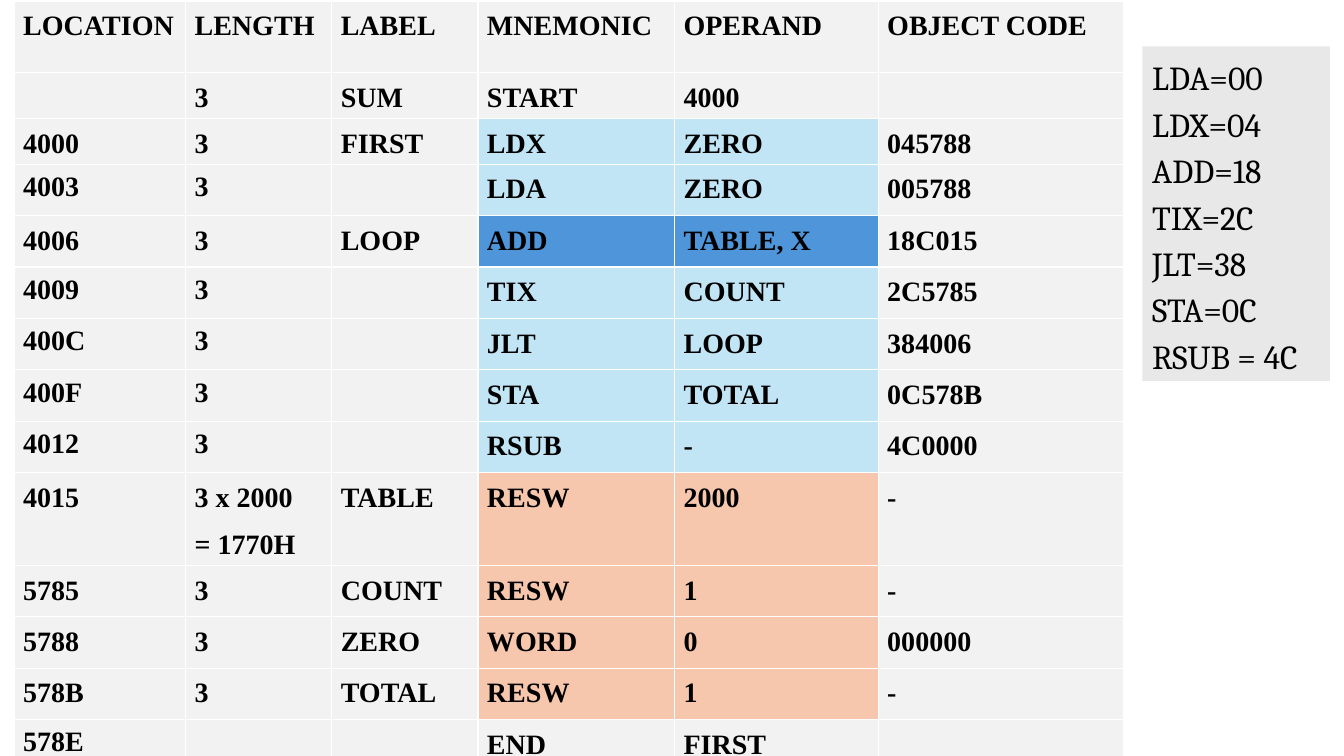
from dataclasses import dataclass

from pptx import Presentation
from pptx.dml.color import RGBColor
from pptx.enum.shapes import MSO_SHAPE
from pptx.enum.text import MSO_ANCHOR, PP_ALIGN
from pptx.util import Inches, Pt

RECTANGLE = MSO_SHAPE.RECTANGLE
LEFT = PP_ALIGN.LEFT
TOP = MSO_ANCHOR.TOP

LISTING = [
    ("LOCATION", "LENGTH", "LABEL", "MNEMONIC", "OPERAND", "OBJECT CODE"),
    ("", "3", "SUM", "START", "4000", ""),
    ("4000", "3", "FIRST", "LDX", "ZERO", "045788"),
    ("4003", "3", "", "LDA", "ZERO", "005788"),
    ("4006", "3", "LOOP", "ADD", "TABLE, X", "18C015"),
    ("4009", "3", "", "TIX", "COUNT", "2C5785"),
    ("400C", "3", "", "JLT", "LOOP", "384006"),
    ("400F", "3", "", "STA", "TOTAL", "0C578B"),
    ("4012", "3", "", "RSUB", "-", "4C0000"),
    ("4015", "3 x 2000\n= 1770H", "TABLE", "RESW", "2000", "-"),
    ("5785", "3", "COUNT", "RESW", "1", "-"),
    ("5788", "3", "ZERO", "WORD", "0", "000000"),
    ("578B", "3", "TOTAL", "RESW", "1", "-"),
    ("578E", "", "", "END", "FIRST", ""),
]
OPCODES = ["LDA=00", "LDX=04", "ADD=18", "TIX=2C", "JLT=38", "STA=0C", "RSUB = 4C"]

COLUMN_WIDTHS = [1.7, 1.45, 1.45, 1.95, 2.02, 2.43]
HEADER_HEIGHT, SHORT_ROW, TALL_ROW, TWO_LINE_ROW = 0.71, 0.42, 0.51, 0.91
ROW_HEIGHTS = ([HEADER_HEIGHT] + [SHORT_ROW] * 2 + [TALL_ROW] * 6
               + [TWO_LINE_ROW] + [TALL_ROW] * 3 + [SHORT_ROW])
LABEL_COLUMN = 2
HIGHLIGHTED_COLUMNS = (3, 4)


@dataclass(frozen=True)
class Theme:
    ink: str = "000000"
    cell: str = "F2F2F2"
    instruction: str = "C1E5F5"
    indexed: str = "4E95D9"
    data: str = "F6C6AD"
    opcode_panel: str = "E8E8E8"
    table_font: str = "Times New Roman"
    table_size: int = 20
    opcode_font: str = "Cambria"
    opcode_size: int = 24


THEME = Theme()
MNEMONIC_FILLS = {
    **dict.fromkeys(["LDX", "LDA", "TIX", "JLT", "STA", "RSUB"], THEME.instruction),
    "ADD": THEME.indexed,
    **dict.fromkeys(["RESW", "WORD"], THEME.data),
}


def paint(target, color):
    target.fill.solid()
    target.fill.fore_color.rgb = RGBColor.from_string(color)


def style_text(text_frame, font_name, size, bold, line_spacing=1.15, space_after=8):
    for paragraph in text_frame.paragraphs:
        paragraph.alignment = LEFT
        paragraph.line_spacing = line_spacing
        paragraph.space_after = Pt(space_after)
        for run in paragraph.runs:
            run.font.name = font_name
            run.font.size = Pt(size)
            run.font.bold = bold
            run.font.color.rgb = RGBColor.from_string(THEME.ink)


def add_listing(slide):
    table = slide.shapes.add_table(
        len(LISTING), len(COLUMN_WIDTHS), Inches(0.14), Inches(0.01),
        Inches(sum(COLUMN_WIDTHS)), Inches(sum(ROW_HEIGHTS))).table
    table.horz_banding = False
    for column, width in zip(table.columns, COLUMN_WIDTHS):
        column.width = Inches(width)
    for row, height, entries in zip(table.rows, ROW_HEIGHTS, LISTING):
        row.height = Inches(height)
        label, mnemonic = entries[2:4]
        for index, (cell, entry) in enumerate(zip(row.cells, entries)):
            highlighted = index in HIGHLIGHTED_COLUMNS
            paint(cell, MNEMONIC_FILLS.get(mnemonic, THEME.cell) if highlighted else THEME.cell)
            cell.margin_left = cell.margin_right = Inches(0.09)
            cell.margin_top = cell.margin_bottom = Inches(0.05)
            if not entry:
                continue
            cell.text_frame.text = entry
            # Unlabelled lines set their location and length more tightly.
            tight = index < LABEL_COLUMN and not label
            spacing = (1.07, 0) if tight else (1.15, 8)
            style_text(cell.text_frame, THEME.table_font, THEME.table_size, True, *spacing)


def add_opcodes(slide):
    panel = slide.shapes.add_shape(
        RECTANGLE, Inches(11.33), Inches(0.46), Inches(1.86), Inches(3.32))
    panel.shadow.inherit = False
    paint(panel, THEME.opcode_panel)
    panel.line.fill.background()
    text_frame = panel.text_frame
    text_frame.word_wrap = True
    text_frame.vertical_anchor = TOP
    text_frame.paragraphs[0].text = "\v".join(OPCODES)
    style_text(text_frame, THEME.opcode_font, THEME.opcode_size, False)


def main():
    presentation = Presentation()
    presentation.slide_width = Inches(13.33)
    presentation.slide_height = Inches(7.5)
    slide = presentation.slides.add_slide(presentation.slide_layouts[6])
    add_listing(slide)
    add_opcodes(slide)
    presentation.save("out.pptx")


if __name__ == "__main__":
    main()
